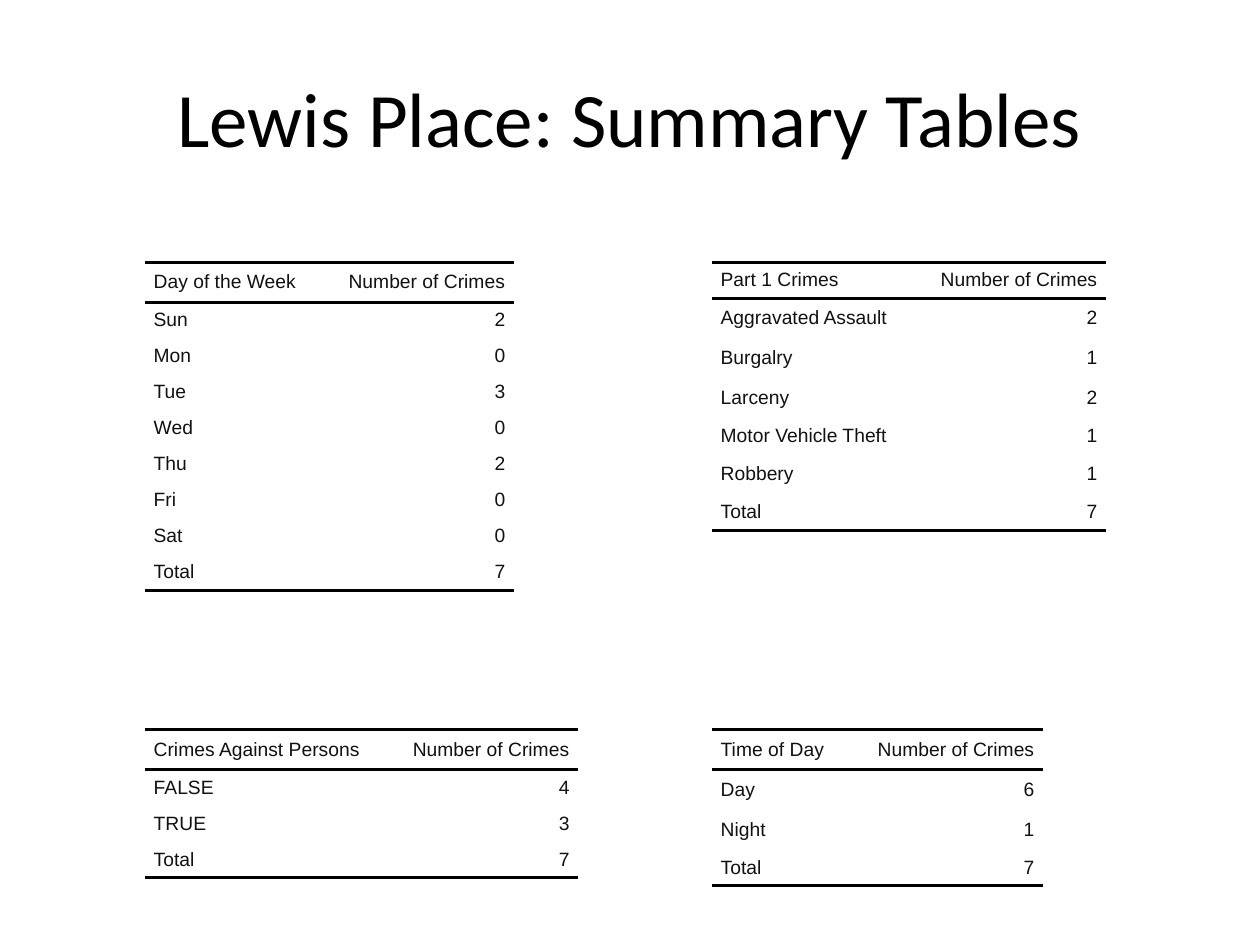
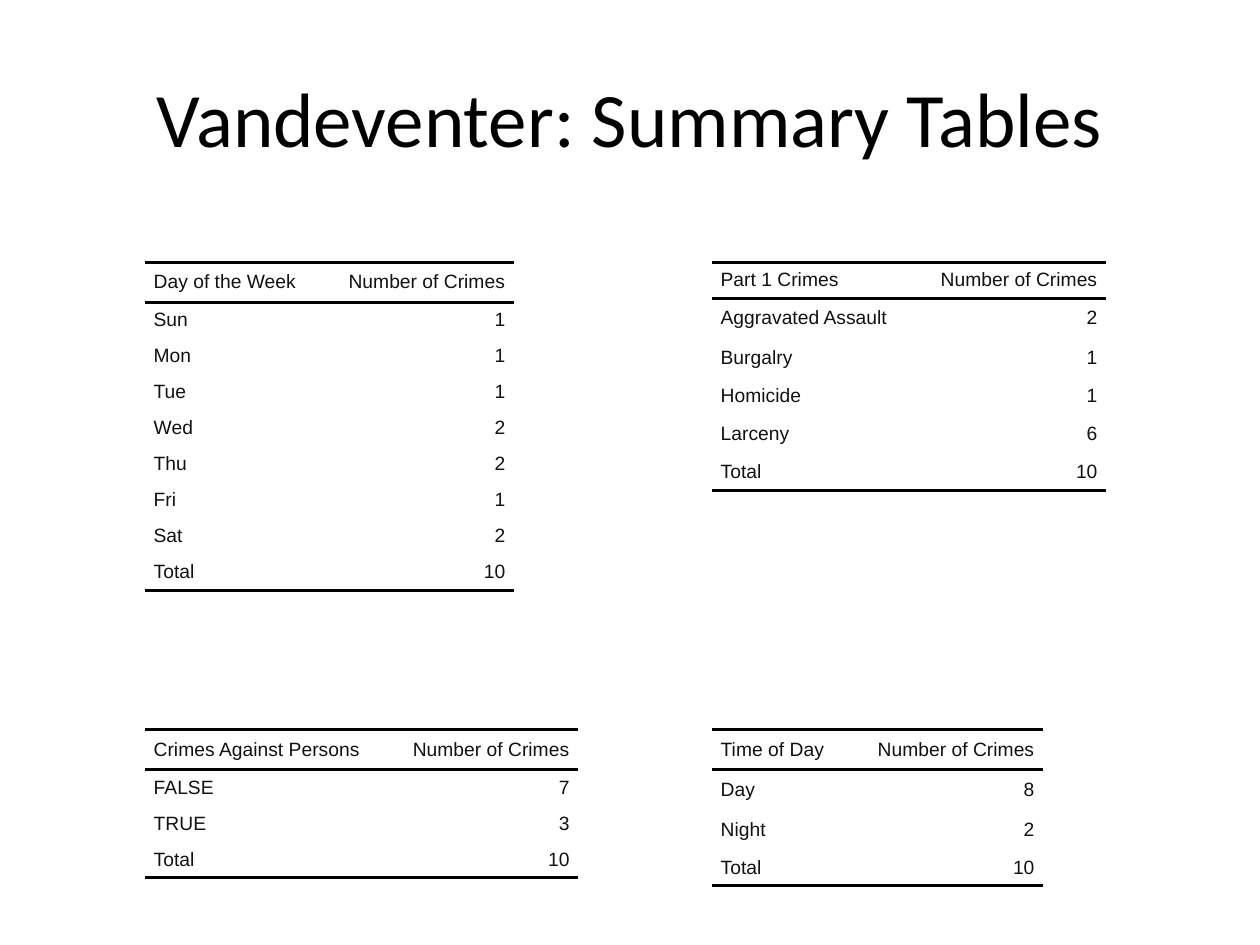
from lxml import etree
from pptx import Presentation
from pptx.dml.color import RGBColor
from pptx.enum.text import MSO_ANCHOR, PP_ALIGN
from pptx.oxml.ns import qn
from pptx.util import Inches, Pt

MIDDLE = MSO_ANCHOR.MIDDLE
LEFT, CENTER, RIGHT = PP_ALIGN.LEFT, PP_ALIGN.CENTER, PP_ALIGN.RIGHT

DAYS = ["Sun", "Mon", "Tue", "Wed", "Thu", "Fri", "Sat"]
COUNT_HEADER = "Number of Crimes"

# One entry per slide: heading -> counts by category
NEIGHBORHOODS = {
    "Lewis Place": {
        "Part 1 Crimes": {"Aggravated Assault": 2, "Burgalry": 1, "Larceny": 2,
                          "Motor Vehicle Theft": 1, "Robbery": 1},
        "Day of the Week": dict(zip(DAYS, [2, 0, 3, 0, 2, 0, 0])),
        "Crimes Against Persons": {"FALSE": 4, "TRUE": 3},
        "Time of Day": {"Day": 6, "Night": 1},
    },
    "Vandeventer": {
        "Part 1 Crimes": {"Aggravated Assault": 2, "Burgalry": 1, "Homicide": 1,
                          "Larceny": 6},
        "Day of the Week": dict(zip(DAYS, [1, 1, 1, 2, 2, 1, 2])),
        "Crimes Against Persons": {"FALSE": 7, "TRUE": 3},
        "Time of Day": {"Day": 8, "Night": 2},
    },
}

# Heading -> grid column, grid row, label column width in inches
PLACES = {
    "Part 1 Crimes": (1, 0, 1.61),
    "Day of the Week": (0, 0, 1.41),
    "Crimes Against Persons": (0, 1, 1.92),
    "Time of Day": (1, 1, 1.11),
}
GRID_LEFT, GRID_TOP = 1.15, 2.08
COLUMN_STEP, ROW_STEP = 4.5, 3.71
COUNT_WIDTH = 1.52

SHORT_ROW, TALL_ROW = Pt(20.6), Pt(22.85)
TALL_LABELS = {"Day of the Week", "Crimes Against Persons", "Time of Day", "Day", "Night",
               "Aggravated Assault", "Burgalry", "Larceny", "Robbery"}

BLACK, INK, WHITE = "000000", "111111", "FFFFFF"
TITLE_FONT = {"name": "Calibri", "size": Pt(44)}
CELL_FONT = {"name": "Arial", "size": Pt(11)}
CELL_FORMAT = {"vertical_anchor": MIDDLE, "margin_left": Inches(0.07),
               "margin_right": Inches(0.07), "margin_top": 0, "margin_bottom": 0}
PLAIN_TABLE = {"first_row": False, "horz_banding": False}
NO_STYLE_ID = "{2D5ABB26-0587-4C30-8999-92F81FD0307C}"
RULE_WIDTH = Pt(2)


def color(hex_value):
    return RGBColor.from_string(hex_value)


def apply(target, values):
    for name, value in values.items():
        setattr(target, name, value)


def write(paragraph, text, font, hex_value, alignment):
    paragraph.text = text
    paragraph.alignment = alignment
    apply(paragraph.font, font)
    paragraph.font.color.rgb = color(hex_value)


def add_rules(cell, sides):
    """Draw black lines on the given cell sides, named by their XML tags in schema order."""
    properties = cell._tc.get_or_add_tcPr()
    for position, side in enumerate(sides):
        line = etree.Element(qn(side), w=str(RULE_WIDTH))
        fill = etree.SubElement(line, qn("a:solidFill"))
        etree.SubElement(fill, qn("a:srgbClr"), val=BLACK)
        properties.insert(position, line)


def add_title(slide, text):
    box = slide.shapes.add_textbox(Inches(0.5), Inches(0.3), Inches(9), Inches(1.25))
    frame = box.text_frame
    apply(frame, {"word_wrap": True, "vertical_anchor": MIDDLE})
    write(frame.paragraphs[0], text, TITLE_FONT, BLACK, CENTER)


def add_summary_table(slide, heading, counts):
    grid_column, grid_row, label_width = PLACES[heading]
    rows = [(heading, COUNT_HEADER), *counts.items(), ("Total", sum(counts.values()))]
    heights = [TALL_ROW if label in TALL_LABELS else SHORT_ROW for label, _ in rows]
    widths = [Inches(label_width), Inches(COUNT_WIDTH)]
    frame = slide.shapes.add_table(
        len(rows), len(widths),
        Inches(GRID_LEFT + grid_column * COLUMN_STEP), Inches(GRID_TOP + grid_row * ROW_STEP),
        sum(widths), sum(heights))
    table = frame.table
    apply(table, PLAIN_TABLE)
    table._tbl.tblPr.find(qn("a:tableStyleId")).text = NO_STYLE_ID
    for column, width in zip(table.columns, widths):
        column.width = width

    rules = {0: ["a:lnT", "a:lnB"], len(rows) - 1: ["a:lnB"]}
    for index, (values, height) in enumerate(zip(rows, heights)):
        table.rows[index].height = height
        for cell, value, alignment in zip(table.rows[index].cells, values, (LEFT, RIGHT)):
            apply(cell, CELL_FORMAT)
            cell.fill.background()
            write(cell.text_frame.paragraphs[0], str(value), CELL_FONT, INK, alignment)
            add_rules(cell, rules.get(index, []))


def main():
    presentation = Presentation()
    presentation.slide_width, presentation.slide_height = Inches(10), Inches(7.5)
    blank = presentation.slide_layouts[6]
    for neighborhood, tables in NEIGHBORHOODS.items():
        slide = presentation.slides.add_slide(blank)
        slide.background.fill.solid()
        slide.background.fill.fore_color.rgb = color(WHITE)
        add_title(slide, f"{neighborhood}: Summary Tables")
        for heading, counts in tables.items():
            add_summary_table(slide, heading, counts)
    presentation.save("out.pptx")


if __name__ == "__main__":
    main()
